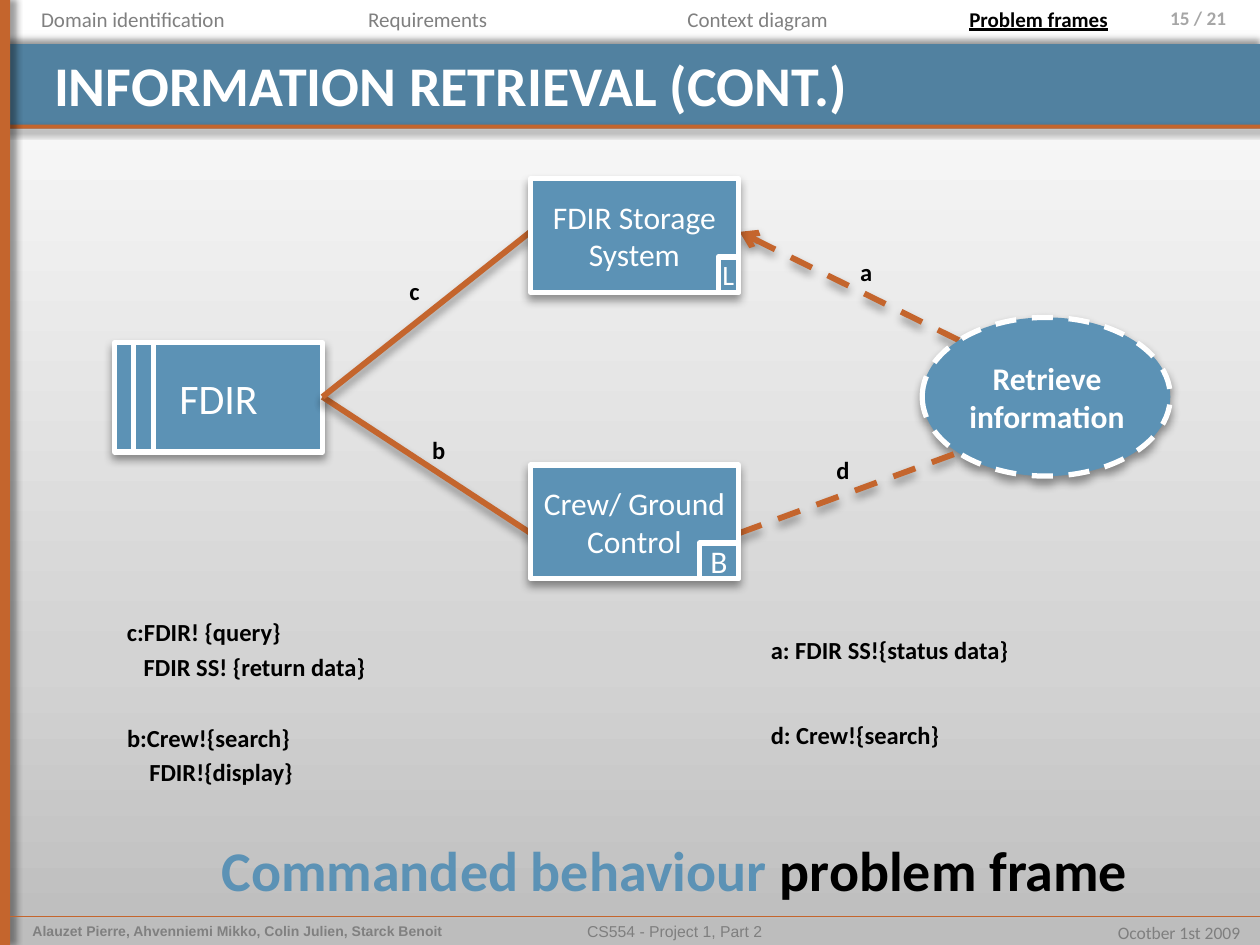
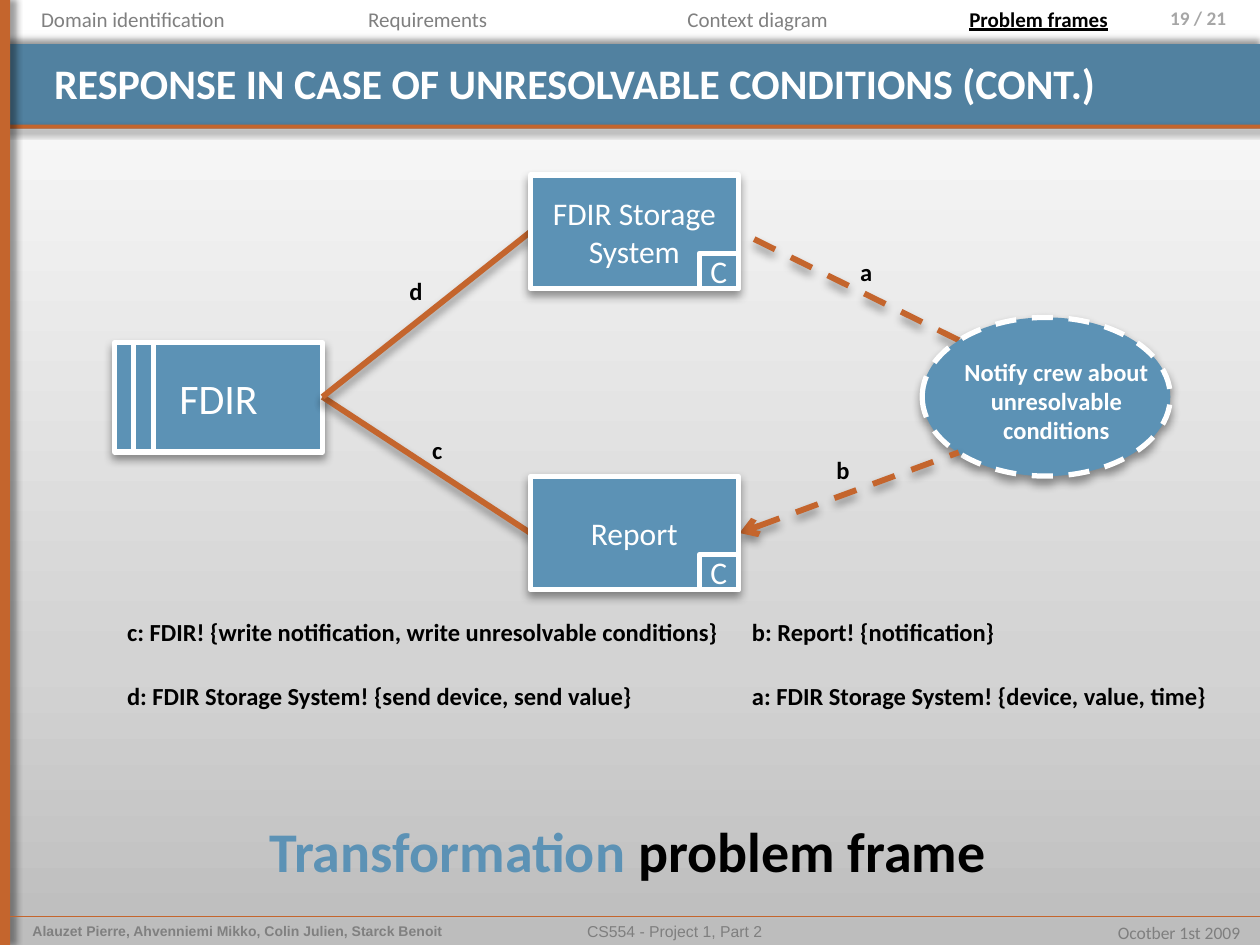
from copy import deepcopy

from lxml.etree import SubElement as Sub
from pptx import Presentation
from pptx.dml.color import RGBColor
from pptx.enum.dml import MSO_LINE
from pptx.enum.shapes import MSO_CONNECTOR, MSO_SHAPE as Kind
from pptx.enum.text import MSO_ANCHOR, PP_ALIGN as Align
from pptx.oxml.ns import qn
from pptx.util import Pt

BLUE = RGBColor(0x5C, 0x92, 0xB5)
BAND = RGBColor(0x51, 0x81, 0xA0)
RUST = RGBColor(0xC4, 0x65, 0x2D)
WHITE = RGBColor(0xFF, 0xFF, 0xFF)
BLACK = RGBColor(0, 0, 0)
GREY = RGBColor(0x80, 0x80, 0x80)
MID = RGBColor(0x7F, 0x7F, 0x7F)
PALE = RGBColor(0xA6, 0xA6, 0xA6)
GRADE = [(0, RGBColor(0xBD, 0xBD, 0xBD)), (0.3, RGBColor(0xD3, 0xD3, 0xD3)), (1, WHITE)]

# Navigation: label, left, width
NAV = [("Domain identification", 0, 152), ("Requirements", 168.5, 152),
       ("Context diagram", 332, 202), ("Problem frames", 517.5, 152)]
ACTIVE = "Problem frames"
TOTAL = 21
TEAM = "Alauzet Pierre, Ahvenniemi Mikko, Colin Julien, Starck Benoit"
COURSE = "CS554 - Project 1, Part 2"
DATE = "Ocotber 1st 2009"

# Links: start, end, dashed
LINKS = {
    "oval-top": ((547.9, 194.4), (422.6, 132.5), True),
    "low-oval": ((422.6, 304.6), (547.9, 258.5), True),
    "fdir-low": ((184.3, 226.8), (303.1, 304.6), False),
    "fdir-top": ((184.3, 226.8), (303.1, 132.5), False),
}
# Left, top of the labels beside the links
SPOTS = [(484.5, 143.3), (470.9, 256.3), (239.8, 244.8), (226.8, 154.1)]

# Boxes: label, top, tag, tag width, tag size
# Notes: left, top, width, rows of (text, indent)
SLIDES = [
    {
        "page": 15, "title": "INFORMATION RETRIEVAL (CONT.)", "size": 32, "top": 25.2,
        "boxes": [("FDIR Storage System", 102.2, "L", 11.5, 16),
                  ("Crew/ Ground Control", 265.7, "B", 22.3, 18)],
        "goal": ("Retrieve information", 18, (544.3, 201.6, 108, 51.1)),
        "labels": "adbc", "arrows": {"oval-top": "tailEnd"},
        "notes": [
            (65.5, 349.2, 152, [("c:FDIR! {query}", 0), ("FDIR SS! {return data}", 9.5)]),
            (65.5, 409.7, 115, [("b:Crew!{search}", 0), ("FDIR!{display}", 12.7)]),
            (433.4, 359.3, 155, [("a: FDIR SS!{status data}", 0)]),
            (433.4, 408.2, 119, [("d: Crew!{search}", 0)]),
        ],
        "frame": ("Commanded behaviour ", (119.5, 473.8, 532, 46)),
    },
    {
        "page": 19, "title": "RESPONSE IN CASE OF UNRESOLVABLE CONDITIONS (CONT.)",
        "size": 24, "top": 29.5,
        "boxes": [("FDIR Storage System", 100.1, "C", 22.3, 18),
                  ("Report", 272.2, "C", 22.3, 18)],
        "goal": ("Notify crew about unresolvable conditions", 14, (541.4, 200.2, 124.6, 58.3)),
        "labels": "abcd", "arrows": {"low-oval": "headEnd"},
        "notes": [
            (65.5, 349.2, 356, [("c: FDIR! {write notification, write unresolvable conditions}", 0)]),
            (65.5, 385.9, 303, [("d: FDIR Storage System! {send device, send value}", 0)]),
            (422.6, 349.2, 158, [("b: Report! {notification}", 0)]),
            (422.6, 385.9, 281, [("a: FDIR Storage System! {device, value, time}", 0)]),
        ],
        "frame": ("Transformation ", (146.9, 463, 432, 46)),
    },
]


def pts(*nums):
    return [Pt(n) for n in nums]


def shade(item, blur=5.2, turn=90, on=True):
    """Give a shape or connector a soft shadow, or none at all."""
    props = item.element.spPr
    for old in props.findall(qn("a:effectLst")):
        props.remove(old)
    fx = Sub(props, qn("a:effectLst"))
    if on:
        drop = Sub(fx, qn("a:outerShdw"), blurRad=str(Pt(blur)), dist=str(Pt(3)),
                   dir=str(turn * 60000), rotWithShape="0")
        tone = Sub(drop, qn("a:srgbClr"), val="000000")
        Sub(tone, qn("a:alpha"), val="40000")


def style(para, size, color, bold=False, align=Align.LEFT, font="Calibri"):
    para.alignment = align
    face = para.font
    face.name, face.size, face.bold = font, Pt(size), bold
    face.color.rgb = color


def text(slide, box, rows, size, color, bold=True, align=Align.LEFT, font="Calibri", wrap=True):
    """Add a text box; rows are (text, indent) pairs or one string."""
    frame = slide.shapes.add_textbox(*pts(*box)).text_frame
    frame.word_wrap = wrap
    rows = [(rows, 0)] if isinstance(rows, str) else rows
    for i, (words, indent) in enumerate(rows):
        para = frame.add_paragraph() if i else frame.paragraphs[0]
        para.text = words
        style(para, size, color, bold, align, font)
        para.space_before = Pt(size * 0.2)
        if indent:
            para._p.get_or_add_pPr().set("marL", str(Pt(indent)))
    return frame.paragraphs[0]


def block(slide, kind, box, fill, edge=False, label="", size=18, pad=3.6):
    item = slide.shapes.add_shape(kind, *pts(*box))
    item.fill.solid()
    item.fill.fore_color.rgb = fill
    if edge:
        item.line.color.rgb = WHITE
        item.line.width = Pt(3)
    else:
        item.line.fill.background()
    item.shadow.inherit = False
    if label:
        frame = item.text_frame
        frame.word_wrap = True
        frame.vertical_anchor = MSO_ANCHOR.MIDDLE
        frame.margin_left = frame.margin_right = Pt(pad)
        frame.margin_top = frame.margin_bottom = Pt(0)
        frame.text = label
        style(frame.paragraphs[0], size, WHITE, align=Align.CENTER)
    return item


def line(slide, start, end, color, width):
    item = slide.shapes.add_connector(MSO_CONNECTOR.STRAIGHT, *pts(*start, *end))
    item.line.color.rgb = color
    item.line.width = Pt(width)
    shade(item, on=False)
    return item


def link(slide, name, arrows):
    start, end, dashed = LINKS[name]
    item = line(slide, start, end, RUST, 3.35)
    if dashed:
        item.line.dash_style = MSO_LINE.DASH
    if name in arrows:
        Sub(item.line._get_or_add_ln(), qn("a:" + arrows[name]), type="arrow")
    shade(item)


def back(slide):
    """Paint the grey gradient behind the slide."""
    fill = slide.background.fill
    fill.gradient()
    fill.gradient_angle = 90
    stops = slide.element.find(".//" + qn("a:gsLst"))
    stops.append(deepcopy(stops[-1]))
    for stop, (place, color) in zip(fill.gradient_stops, GRADE):
        stop.position = place
        stop.color.rgb = color


def base(slide, data):
    """Draw what every slide shares: bands, footer, title and navigation."""
    back(slide)
    for box, color, turn in [((0, 25.2, 720, 48.2), BAND, 270),
                             ((0, 71.3, 720, 2.2), RUST, 45),
                             ((0, 0, 5.8, 540), RUST, 0)]:
        shade(block(slide, Kind.RECTANGLE, box, color), 4, turn)
    text(slide, (11.5, 523.4, 264.2, 16.6), TEAM, 8, GREY, font="Arial")
    text(slide, (163.4, 523.4, 444.2, 16.6), COURSE, 9, MID, False, Align.CENTER, "Arial")
    shade(line(slide, (5.8, 523.4), (720, 523.4), RUST, 0.25), 4, 45)
    text(slide, (627.1, 523.4, 88.6, 19.4), DATE, 10, MID, False, Align.RIGHT, wrap=False)
    text(slide, (635.8, 0, 72, 28), f"{data['page']} / {TOTAL}", 11, PALE, align=Align.RIGHT)
    text(slide, (23.8, data["top"], 668.2, 41.8), data["title"], data["size"], WHITE)
    for name, left, width in NAV:
        here = name == ACTIVE
        para = text(slide, (left, 0, width, 21.8), name, 12, BLACK if here else GREY,
                    here, Align.CENTER)
        para.font.underline = here


def chart(slide, data):
    """Draw the problem diagram."""
    first, *rest = LINKS
    link(slide, first, data["arrows"])
    shade(block(slide, Kind.RECTANGLE, (65.5, 195.8, 118.8, 62.6), BLUE, True, "FDIR", 24))
    for x in (76.3, 87.8):
        line(slide, (x, 195.8), (x, 257.8), WHITE, 3)
    oval = block(slide, Kind.OVAL, (527, 181.4, 141.8, 90.7), BLUE, True)
    oval.line.dash_style = MSO_LINE.DASH
    shade(oval)
    goal, size, box = data["goal"]
    text(slide, box, goal, size, WHITE, align=Align.CENTER)
    for name in rest:
        link(slide, name, data["arrows"])
    left, wide, high, deep = 303.1, 118.8, 64.8, 20.2
    for label, top, tag, width, size in data["boxes"]:
        shade(block(slide, Kind.RECTANGLE, (left, top, wide, high), BLUE, True, label))
        corner = (left + wide - width, top + high - deep, width, deep)
        block(slide, Kind.RECTANGLE, corner, BLUE, True, tag, size, 0)
    for letter, (x, y) in zip(data["labels"], SPOTS):
        text(slide, (x, y, 24.5, 24.5), letter, 14, BLACK, wrap=False)


def notes(slide, data):
    for x, y, width, rows in data["notes"]:
        high = 24.5 + 20 * (len(rows) - 1)
        text(slide, (x, y, width, high), rows, 14, BLACK, wrap=False)
    name, box = data["frame"]
    para = text(slide, box, name, 32, BLACK, wrap=False)
    para.runs[0].font.color.rgb = BLUE
    para.add_run().text = "problem frame"


def main():
    deck = Presentation()
    deck.slide_width, deck.slide_height = pts(720, 540)
    for data in SLIDES:
        slide = deck.slides.add_slide(deck.slide_layouts[6])
        base(slide, data)
        chart(slide, data)
        notes(slide, data)
    deck.save("out.pptx")


if __name__ == "__main__":
    main()
